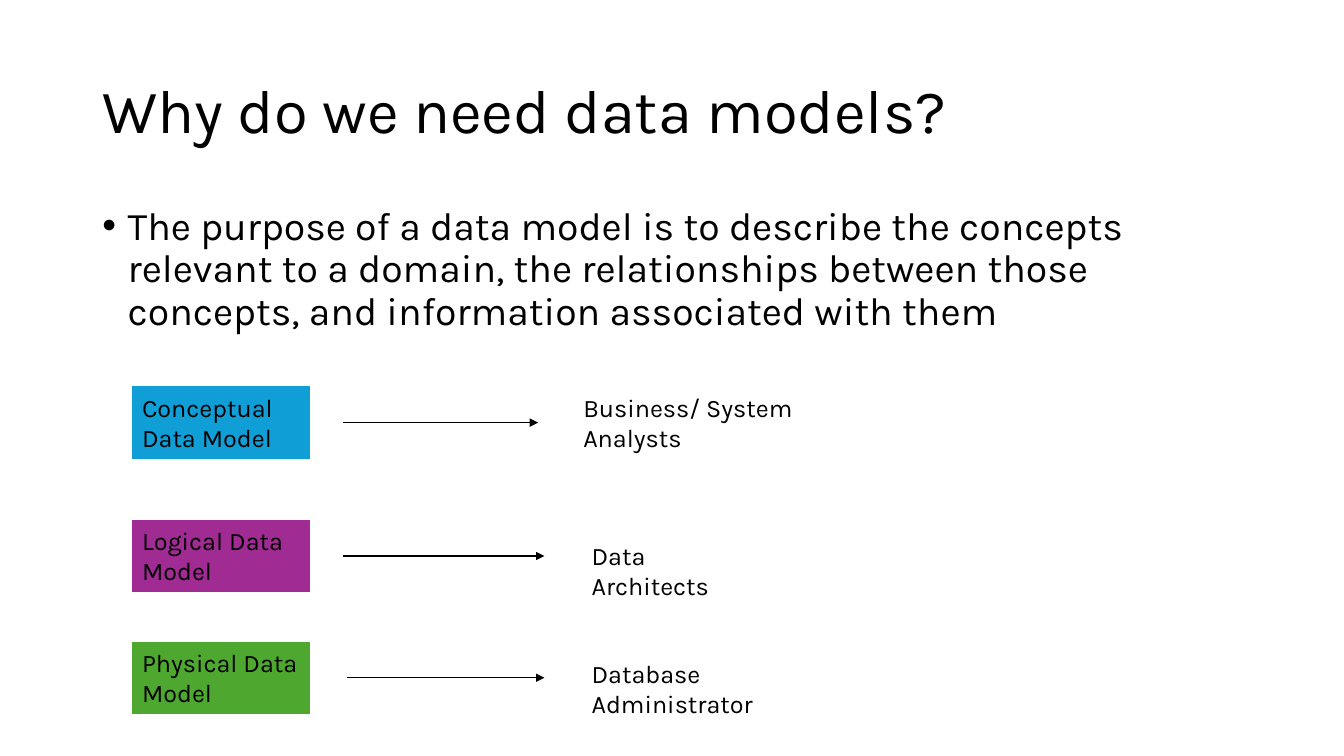
import pptx
import pptx.dml.color
import pptx.enum.shapes
import pptx.enum.text
import pptx.oxml
import pptx.oxml.ns
import pptx.util
from lxml import etree

Cm = pptx.util.Cm
Pt = pptx.util.Pt
RGBColor = pptx.dml.color.RGBColor
Anchor = pptx.enum.text.MSO_ANCHOR

BLACK = RGBColor(0x00, 0x00, 0x00)
BLUE = RGBColor(0x0F, 0x9E, 0xD5)
PURPLE = RGBColor(0xA0, 0x2B, 0x93)
GREEN = RGBColor(0x4E, 0xA7, 0x2E)

MARGIN, CONTENT_WIDTH = 2.33, 29.21
MODEL_LEFT, MODEL_WIDTH, MODEL_HEIGHT = 3.33, 4.47, 1.8

# model, colour, top, arrow (start, end), audience, audience box
MODELS = [
    ("Conceptual Data Model", BLUE, 9.75, (8.64, 13.56),
     "Business/ System Analysts", (14.45, 9.75, 6.55, 1.8)),
    ("Logical Data Model", PURPLE, 13.11, (8.64, 13.72),
     "Data Architects", (14.66, 13.49, 4.57, 1.02)),
    ("Physical Data Model", GREEN, 16.18, (8.74, 13.72),
     "Database Administrator", (14.66, 16.46, 5.05, 1.8)),
]


class SlideBuilder:
    font_name = "Karla"

    def __init__(self, slide):
        self.slide = slide

    def set_text(self, shape, text, size, anchor=Anchor.TOP, line_spacing=1.0):
        frame = shape.text_frame
        frame.word_wrap = True
        frame.vertical_anchor = anchor
        frame.text = text
        paragraph = frame.paragraphs[0]
        paragraph.alignment = pptx.enum.text.PP_ALIGN.LEFT
        paragraph.line_spacing = line_spacing
        font = paragraph.runs[0].font
        font.name = self.font_name
        font.size = Pt(size)
        font.color.rgb = BLACK
        return paragraph

    def text(self, box, text, size, **style):
        shape = self.slide.shapes.add_textbox(*map(Cm, box))
        return self.set_text(shape, text, size, **style)

    def bullet(self, box, text, size, **style):
        paragraph = self.text(box, text, size, **style)
        properties = paragraph._p.get_or_add_pPr()
        properties.set("marL", str(Cm(0.64)))
        properties.set("indent", str(-Cm(0.64)))
        tag = pptx.oxml.ns.qn
        etree.SubElement(properties, tag("a:buFont")).set("typeface", "Arial")
        etree.SubElement(properties, tag("a:buChar")).set("char", "•")

    def block(self, box, text, size, color):
        shape = self.slide.shapes.add_shape(
            pptx.enum.shapes.MSO_SHAPE.RECTANGLE, *map(Cm, box))
        shape.shadow.inherit = False
        shape.fill.solid()
        shape.fill.fore_color.rgb = color
        shape.line.color.rgb = color
        shape.line.width = Pt(0.75)
        self.set_text(shape, text, size)

    def arrow(self, start, end, y):
        connector = self.slide.shapes.add_connector(
            pptx.enum.shapes.MSO_CONNECTOR.STRAIGHT,
            Cm(start), Cm(y), Cm(end), Cm(y))
        connector.line.color.rgb = BLACK
        connector.line.width = Pt(1)
        tag = pptx.oxml.ns.qn
        line = connector.line._get_or_add_ln()
        etree.SubElement(line, tag("a:tailEnd")).set("type", "triangle")
        etree.SubElement(connector._element.spPr, tag("a:effectLst"))


def main():
    presentation = pptx.Presentation()
    presentation.slide_width = Cm(33.87)
    presentation.slide_height = Cm(19.05)
    builder = SlideBuilder(
        presentation.slides.add_slide(presentation.slide_layouts[6]))

    builder.text((MARGIN, 1.02, CONTENT_WIDTH, 3.68),
                 "Why do we need data models?", 44,
                 anchor=Anchor.MIDDLE, line_spacing=0.9)
    builder.bullet((MARGIN, 5.08, CONTENT_WIDTH, 3.45),
                   "The purpose of a data model is to describe the concepts "
                   "relevant to a domain, the relationships between those "
                   "concepts, and information associated with them", 28,
                   line_spacing=0.9)

    for model, color, top, (start, end), audience, audience_box in MODELS:
        builder.block((MODEL_LEFT, top, MODEL_WIDTH, MODEL_HEIGHT),
                      model, 18, color)
        builder.arrow(start, end, top + MODEL_HEIGHT / 2)
        builder.text(audience_box, audience, 18)

    presentation.save("out.pptx")


if __name__ == "__main__":
    main()
